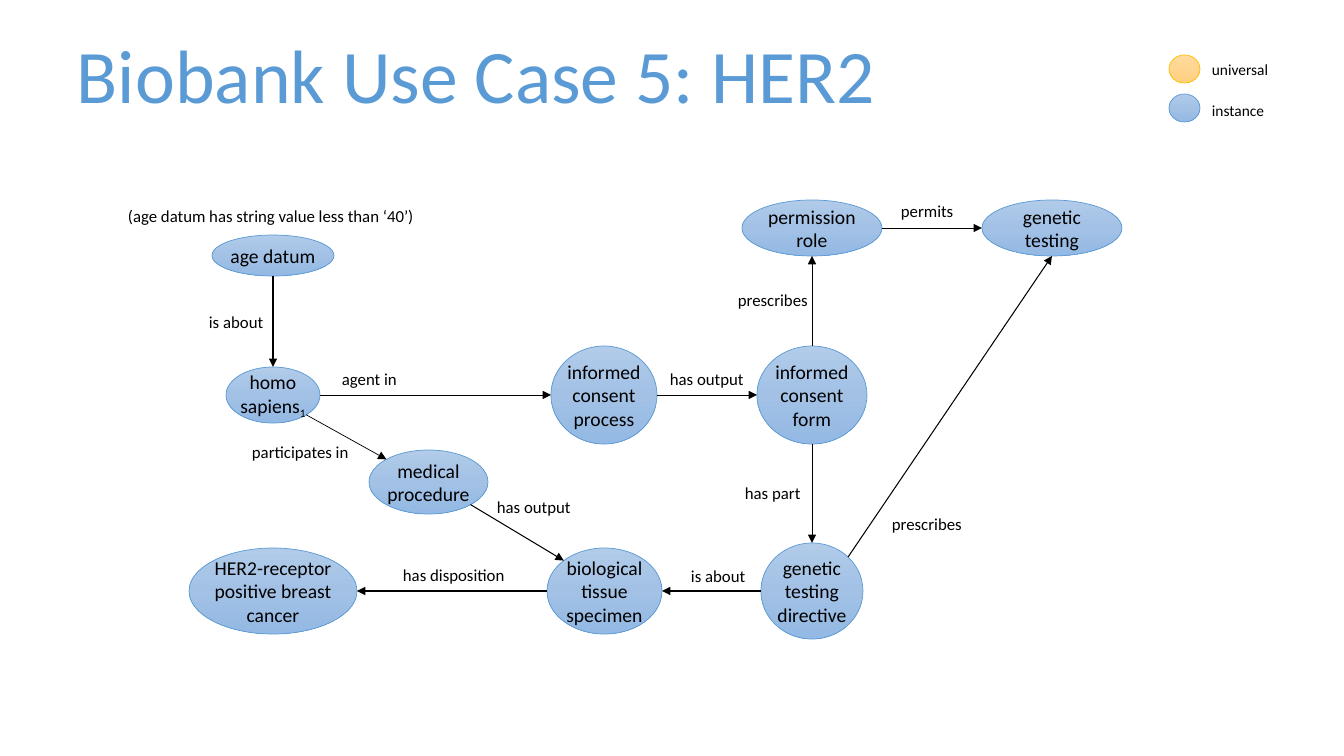
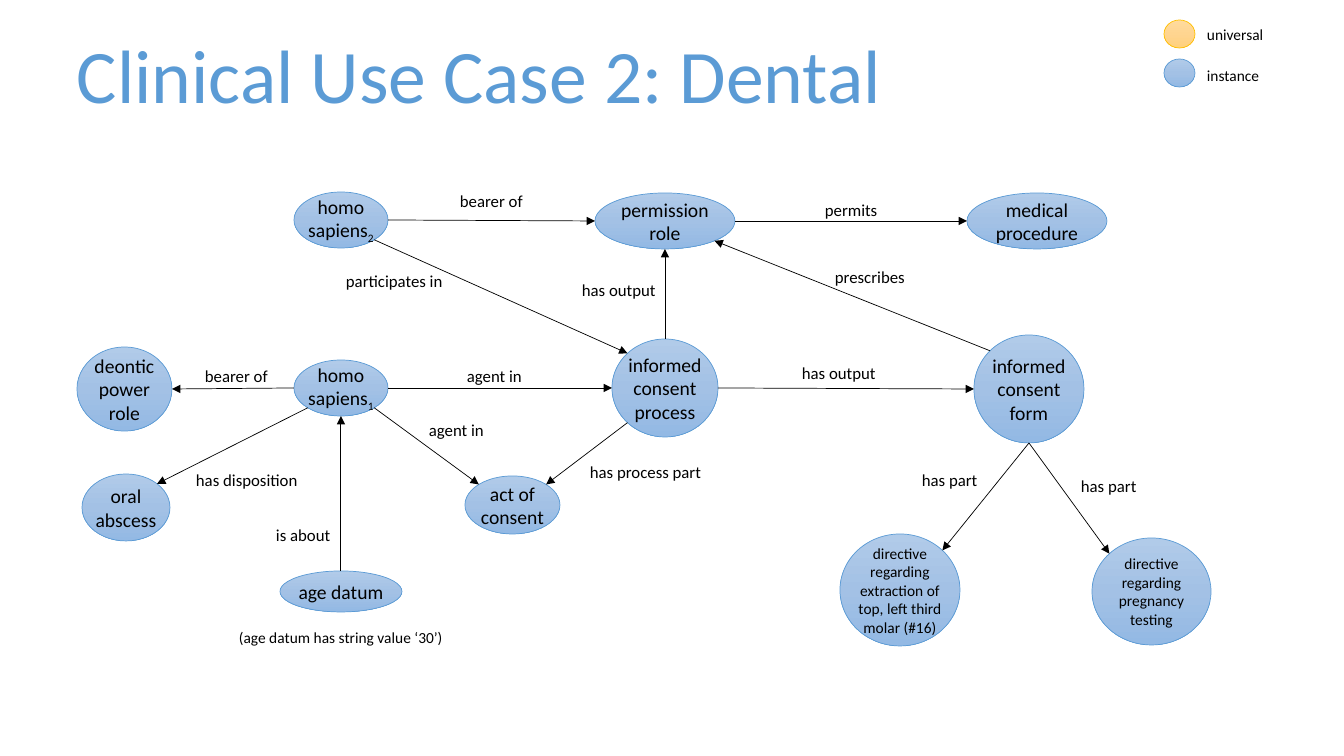
"""Builds two ontology diagrams: biobank and dental consent use cases."""
from copy import deepcopy
from dataclasses import dataclass
from math import cos, radians, sin

from lxml import etree
from pptx import Presentation
from pptx.dml.color import RGBColor
from pptx.enum.shapes import MSO_CONNECTOR, MSO_SHAPE
from pptx.enum.text import MSO_ANCHOR, MSO_AUTO_SIZE, PP_ALIGN
from pptx.oxml.ns import qn
from pptx.util import Emu, Pt

ELLIPSE = MSO_SHAPE.OVAL
STRAIGHT = MSO_CONNECTOR.STRAIGHT
LEFT, CENTER = PP_ALIGN.LEFT, PP_ALIGN.CENTER
MIDDLE = MSO_ANCHOR.MIDDLE
GROW = MSO_AUTO_SIZE.SHAPE_TO_FIT_TEXT

EMU_PER_PIXEL = 914400 / 100.8
FONT = "Calibri"
BLACK, BLUE, GOLD = "000000", "5B9BD5", "FFC000"
BLUE_STOPS = ("B1CBE9", "A3C1E5", "93B9E4")
GOLD_STOPS = ("FFDB9E", "FFD590", "FFD07C")
SUBSCRIPT = "-25000"

# Clockwise angles of the ellipse's connection sites, starting from the right.
SITES = {"right": 0, "bottom right": 45, "bottom": 90, "bottom left": 135,
         "left": 180, "top left": 225, "top": 270, "top right": 315}
LABEL_WIDTHS = {"prescribes": 91, "has part": 77, "has disposition": 123,
                "is about": 76, "permits": 74, "agent in": 76,
                "has output": 95, "participates in": 118, "bearer of": 84,
                "has process part": 133}


@dataclass
class Node:
    """An ellipse with its text and place in pixels."""
    text: str
    left: int
    top: int
    width: int
    height: int
    subscript: str = ""
    size: int = 14

    def site(self, name):
        """Return the point of a connection site."""
        angle = radians(SITES[name])
        return (self.left + self.width / 2 * (1 + cos(angle)),
                self.top + self.height / 2 * (1 + sin(angle)))


@dataclass
class Link:
    """A labelled arrow between sites of two nodes."""
    source: str
    source_site: str
    target: str
    target_site: str
    label: str
    label_left: int
    label_top: int
    weight: float = 0.5


BIOBANK_NODES = {
    "person": Node("homo sapiens", 226, 367, 94, 56, "1"),
    "form": Node("informed consent form", 757, 346, 110, 98),
    "permission": Node("permission role", 742, 200, 140, 56),
    "directive": Node("genetic testing directive", 761, 543, 102, 96),
    "cancer": Node("HER2-receptor positive breast cancer", 189, 548, 168, 86),
    "age": Node("age datum", 212, 235, 122, 41),
    "testing": Node("genetic testing", 982, 200, 140, 56),
    "process": Node("informed consent process", 551, 346, 106, 98),
    "procedure": Node("medical procedure", 369, 450, 119, 64),
    "specimen": Node("biological tissue specimen", 547, 548, 115, 86),
}
BIOBANK_LINKS = [
    Link("form", "bottom", "directive", "top", "has part", 735, 478),
    Link("person", "bottom right", "procedure", "top left",
         "participates in", 242, 437),
    Link("form", "top", "permission", "bottom", "prescribes", 728, 285),
    Link("age", "bottom", "person", "top", "is about", 199, 307, 0.75),
    Link("permission", "right", "testing", "left", "permits", 891, 196),
    Link("directive", "left", "specimen", "right", "is about", 681, 561, 0.75),
    Link("person", "right", "process", "left", "agent in", 332, 364),
    Link("process", "right", "form", "left", "has output", 660, 364),
    Link("directive", "top right", "testing", "bottom",
         "prescribes", 882, 509, 0.75),
    Link("procedure", "bottom right", "specimen", "top left",
         "has output", 487, 492, 0.75),
    Link("specimen", "left", "cancer", "right",
         "has disposition", 393, 560, 0.75),
]

DENTAL_NODES = {
    "patient": Node("homo sapiens", 294, 360, 94, 56, "1"),
    "dentist": Node("homo sapiens", 294, 192, 94, 56, "2"),
    "form": Node("informed consent form", 974, 335, 110, 108),
    "process": Node("informed consent process", 612, 339, 106, 98),
    "power": Node("deontic\npower role", 77, 347, 95, 84),
    "permission": Node("permission role", 595, 193, 140, 56),
    "pregnancy": Node("directive regarding pregnancy testing",
                      1092, 538, 119, 107, size=11),
    "extraction": Node("directive regarding extraction of top, left third "
                       "molar (#16)", 840, 534, 120, 112, size=11),
    "act": Node("act of consent", 465, 476, 95, 58),
    "abscess": Node("oral abscess", 82, 474, 88, 67),
    "age": Node("age datum", 280, 571, 122, 41),
    "procedure": Node("medical procedure", 967, 193, 140, 56),
}
DENTAL_LINKS = [
    Link("patient", "left", "power", "right", "bearer of", 195, 361),
    Link("dentist", "right", "permission", "left", "bearer of", 450, 186),
    Link("dentist", "bottom right", "process", "top left",
         "participates in", 336, 266),
    Link("patient", "right", "process", "left", "agent in", 457, 361),
    Link("process", "top", "permission", "bottom", "has output", 572, 275),
    Link("form", "bottom", "pregnancy", "top left", "has part", 1071, 471),
    Link("process", "right", "form", "left", "has output", 792, 358),
    Link("patient", "bottom right", "act", "top left", "agent in", 419, 415),
    Link("process", "bottom left", "act", "top right",
         "has process part", 580, 457),
    Link("patient", "bottom left", "abscess", "top right",
         "has disposition", 186, 465),
    Link("form", "top left", "permission", "bottom right",
         "prescribes", 825, 262),
    Link("form", "bottom", "extraction", "top right", "has part", 912, 465),
    Link("age", "top", "patient", "bottom", "is about", 266, 520, 0.75),
    Link("permission", "right", "procedure", "left", "permits", 815, 195),
]


def px(*pixels):
    """Turn pixels into a list of EMU lengths."""
    return [Emu(round(value * EMU_PER_PIXEL)) for value in pixels]


def rgb(color):
    """Turn a hex string into a colour."""
    return RGBColor.from_string(color)


def add_run(paragraph, text, size, color=BLACK):
    """Add one formatted run and return it."""
    run = paragraph.add_run()
    run.text = text
    run.font.name = FONT
    run.font.size = Pt(size)
    run.font.color.rgb = rgb(color)
    return run


def add_text(slide, text, box, size=12, color=BLACK, wrap=False, align=LEFT):
    """Add a text box that holds one line."""
    frame = slide.shapes.add_textbox(*px(*box)).text_frame
    frame.word_wrap = wrap
    frame.auto_size = GROW
    paragraph = frame.paragraphs[0]
    paragraph.alignment = align
    add_run(paragraph, text, size, color)


def add_ellipse(slide, box, stops=BLUE_STOPS, outline=BLUE):
    """Add an ellipse with a three-stop vertical gradient."""
    shape = slide.shapes.add_shape(ELLIPSE, *px(*box))
    shape.shadow.inherit = False
    shape.line.color.rgb = rgb(outline)
    shape.line.width = Pt(0.5)
    shape.fill.gradient()
    shape.fill.gradient_angle = 270
    stop_list = shape._element.spPr.find(qn("a:gradFill")).find(qn("a:gsLst"))
    stop_list.append(deepcopy(stop_list[0]))
    for index, stop in enumerate(shape.fill.gradient_stops):
        stop.position = index / 2
        stop.color.rgb = rgb(stops[index])
    return shape


def add_node(slide, node):
    """Draw a node with centred text and an optional subscript."""
    shape = add_ellipse(slide, (node.left, node.top, node.width, node.height))
    frame = shape.text_frame
    frame.word_wrap = True
    frame.vertical_anchor = MIDDLE
    frame.margin_left = frame.margin_right = 0
    frame.margin_top = frame.margin_bottom = 0
    paragraph = frame.paragraphs[0]
    paragraph.alignment = CENTER
    for index, line in enumerate(node.text.split("\n")):
        if index:
            paragraph.add_line_break()
        add_run(paragraph, line, node.size)
    if node.subscript:
        run = add_run(paragraph, node.subscript, node.size)
        run._r.get_or_add_rPr().set("baseline", SUBSCRIPT)


def add_link(slide, nodes, link):
    """Draw an arrow between two nodes, with its label."""
    start = nodes[link.source].site(link.source_site)
    end = nodes[link.target].site(link.target_site)
    connector = slide.shapes.add_connector(STRAIGHT, *px(*start, *end))
    connector.line.color.rgb = rgb(BLACK)
    connector.line.width = Pt(link.weight)
    line = connector.line._get_or_add_ln()
    etree.SubElement(line, qn("a:tailEnd"), type="triangle")
    etree.SubElement(connector._element.spPr, qn("a:effectLst"))
    add_text(slide, link.label, (link.label_left, link.label_top,
                                 LABEL_WIDTHS[link.label], 30))


def add_legend(slide, left, top):
    """Draw the key for universals and instances."""
    add_ellipse(slide, (left, top, 31, 28), GOLD_STOPS, GOLD)
    add_text(slide, "universal", (left + 33, top, 78, 29), 11)
    add_ellipse(slide, (left, top + 39, 31, 28))
    add_text(slide, "instance", (left + 33, top + 41, 73, 29), 11)


def add_diagram(presentation, title, title_width, legend_at, nodes, links):
    """Add a slide with title, legend, nodes and links."""
    slide = presentation.slides.add_slide(presentation.slide_layouts[6])
    add_text(slide, title, (67, 23, title_width, 102), 54, BLUE, wrap=True)
    add_legend(slide, *legend_at)
    for node in nodes.values():
        add_node(slide, node)
    for link in links:
        add_link(slide, nodes, link)
    return slide


def main():
    """Build and save the presentation."""
    presentation = Presentation()
    presentation.slide_width, presentation.slide_height = px(1344, 756)
    biobank = add_diagram(presentation, "Biobank Use Case 5: HER2", 1009,
                          (1169, 55), BIOBANK_NODES, BIOBANK_LINKS)
    add_text(biobank, "(age datum has string value less than ‘40’)",
             (116, 201, 310, 30), wrap=True, align=CENTER)
    dental = add_diagram(presentation, "Clinical Use Case 2: Dental", 917,
                         (1164, 20), DENTAL_NODES, DENTAL_LINKS)
    add_text(dental, "(age datum has string value ‘30’)",
             (229, 623, 226, 29), 11)
    presentation.save("out.pptx")


main()
